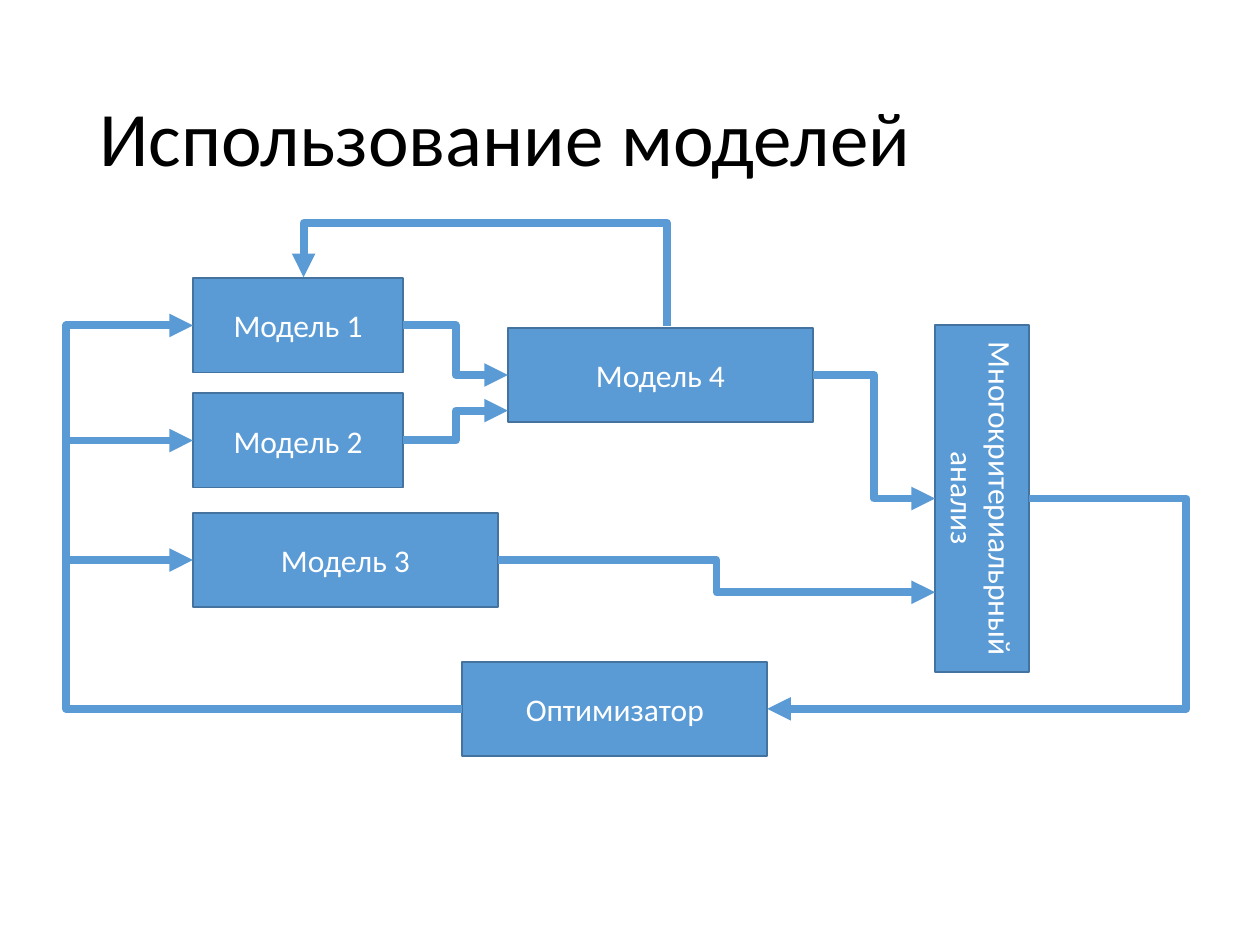
import math

from lxml import etree
from pptx import Presentation
from pptx.dml.color import RGBColor
from pptx.enum import shapes, text
from pptx.oxml.ns import qn
from pptx.util import Cm, Pt

BLUE = RGBColor(0x5B, 0x9B, 0xD5)
EDGE = RGBColor(0x43, 0x73, 0x9E)
WHITE = RGBColor(0xFF, 0xFF, 0xFF)
BLACK = RGBColor(0, 0, 0)
FONT = "Calibri"

# All lengths in centimetres
BOX_H = 1.9
NARROW, WIDE, TALL = 4.24, 6.15, 6.99
MODEL_X, MODEL4_X, OPT_X = 3.89, 10.24, 9.32
ANALYSIS_X, ANALYSIS_Y = 18.85, 10.05      # left edge and middle once turned
ROW1, ROW2, ROW3, ROW4, OPT_ROW = 6.56, 8.88, 11.29, 7.56, 14.29  # box middles
BUS_X = 1.35


def style_font(font, size, color):
    font.name, font.size = FONT, Pt(size)
    font.color.rgb = color


def add_title(s, title):
    sp = s.shapes.title
    sp.left, sp.top, sp.width, sp.height = Cm(1.75), Cm(1.02), Cm(21.9), Cm(3.68)
    tf = sp.text_frame
    tf.text = title
    tf.auto_size = text.MSO_AUTO_SIZE.NONE
    tf.vertical_anchor = text.MSO_ANCHOR.MIDDLE
    p = tf.paragraphs[0]
    p.alignment = text.PP_ALIGN.LEFT
    p.line_spacing = 0.9
    style_font(p.runs[0].font, 44, BLACK)


def add_box(s, label, x, middle, w, rotation=0):
    sp = s.shapes.add_shape(shapes.MSO_SHAPE.RECTANGLE, Cm(x),
                            Cm(middle - BOX_H / 2), Cm(w), Cm(BOX_H))
    sp.rotation = rotation
    sp.shadow.inherit = False
    sp.fill.solid()
    sp.fill.fore_color.rgb = BLUE
    sp.line.color.rgb = EDGE
    sp.line.width = Pt(1)
    tf = sp.text_frame
    tf.text = label
    tf.vertical_anchor = text.MSO_ANCHOR.MIDDLE
    p = tf.paragraphs[0]
    p.alignment = text.PP_ALIGN.CENTER
    style_font(p.runs[0].font, 18, WHITE)


def add_arrow(s, kind, start, end):
    cx = s.shapes.add_connector(kind, *(Cm(v) for v in (*start, *end)))
    cx.line.color.rgb = BLUE
    cx.line.width = Pt(4.5)
    ln = cx.line._get_or_add_ln()
    etree.SubElement(ln, qn("a:tailEnd"), type="triangle")
    etree.SubElement(cx._element.spPr, qn("a:effectLst"))
    return cx


def add_elbow(s, start, end, bend=0.5, turn=0):
    """Elbow arrow; bend is the place of its middle leg, turn its rotation."""
    # Turn the end points back around the centre before rotating the shape
    mx, my = (start[0] + end[0]) / 2, (start[1] + end[1]) / 2
    dx, dy = end[0] - mx, end[1] - my
    c, n = math.cos(math.radians(turn)), math.sin(math.radians(turn))
    hx, hy = dx * c + dy * n, dy * c - dx * n
    cx = add_arrow(s, shapes.MSO_CONNECTOR.ELBOW,
                   (mx - hx, my - hy), (mx + hx, my + hy))
    spPr = cx._element.spPr
    if turn:
        spPr.find(qn("a:xfrm")).set("rot", str(turn * 60000))
    av = spPr.find(qn("a:prstGeom")).find(qn("a:avLst"))
    etree.SubElement(av, qn("a:gd"), name="adj1", fmla=f"val {round(bend * 100000)}")


def main():
    prs = Presentation()
    prs.slide_width, prs.slide_height = Cm(25.4), Cm(19.05)
    s = prs.slides.add_slide(prs.slide_layouts[5])
    add_title(s, "Использование моделей")

    # Blocks
    for label, x, middle, w in (
        ("Модель 1", MODEL_X, ROW1, NARROW),
        ("Модель 2", MODEL_X, ROW2, NARROW),
        ("Модель 3", MODEL_X, ROW3, WIDE),
        ("Модель 4", MODEL4_X, ROW4, WIDE),
        ("Оптимизатор", OPT_X, OPT_ROW, WIDE),
    ):
        add_box(s, label, x, middle, w)
    add_box(s, "Многокритериальрный анализ",
            ANALYSIS_X + (BOX_H - TALL) / 2, ANALYSIS_Y, TALL, 90)

    # Models feed model 4 and the analysis
    add_elbow(s, (MODEL4_X + WIDE, ROW4), (ANALYSIS_X, ANALYSIS_Y))
    add_elbow(s, (MODEL_X + WIDE, ROW3), (ANALYSIS_X, 11.94))
    add_elbow(s, (MODEL_X + NARROW, ROW1), (MODEL4_X, ROW4))
    add_elbow(s, (MODEL_X + NARROW, ROW2), (MODEL4_X, 8.28))

    # Analysis to optimizer, and optimizer back to the models
    add_elbow(s, (ANALYSIS_X + BOX_H, ANALYSIS_Y), (OPT_X + WIDE, OPT_ROW), -0.6)
    add_elbow(s, (OPT_X, OPT_ROW), (MODEL_X, ROW1), 1.47, 180)
    for row in (ROW2, ROW3):
        add_arrow(s, shapes.MSO_CONNECTOR.STRAIGHT, (BUS_X - 0.08, row), (MODEL_X, row))

    # Feedback from model 4 to model 1
    add_elbow(s, (13.44, 6.58), (6.12, 5.59), 2.11, 270)

    prs.save("out.pptx")


if __name__ == "__main__":
    main()
